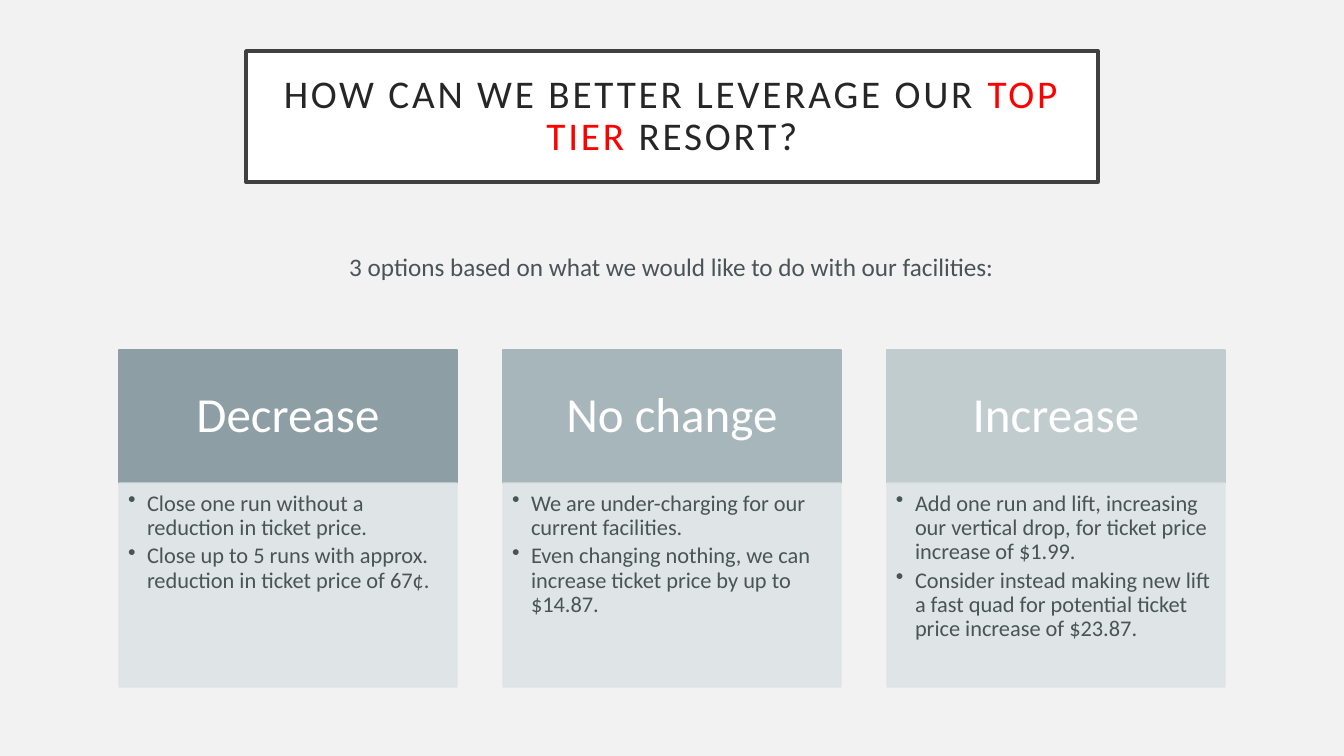
from pptx import Presentation
from pptx import util as u
from pptx.dml.color import RGBColor
from pptx.enum import shapes, text
from pptx.oxml.ns import qn
from lxml import etree

PX = 914400 / 100.8
FONT = "Calibri"
PAGE = RGBColor(0xF2, 0xF2, 0xF2)
WHITE = RGBColor(0xFF, 0xFF, 0xFF)
FRAME = RGBColor(0x40, 0x40, 0x40)
HEADING = RGBColor(0x26, 0x26, 0x26)
ACCENT = RGBColor(0xFF, 0x00, 0x00)
BODY = RGBColor(0x4A, 0x53, 0x56)
PANEL = RGBColor(0xDE, 0xE3, 0xE5)
DECREASE = RGBColor(0x8D, 0x9F, 0xA4)
NO_CHANGE = RGBColor(0xA7, 0xB6, 0xBA)
INCREASE = RGBColor(0xC1, 0xCC, 0xCF)

OPTIONS = [
    ("Decrease", DECREASE, [
        "Close one run without a reduction in ticket price.",
        "Close up to 5 runs with approx. reduction in ticket price of 67¢."]),
    ("No change", NO_CHANGE, [
        "We are under-charging for our current facilities.",
        "Even changing nothing, we can increase ticket price by up to $14.87."]),
    ("Increase", INCREASE, [
        "Add one run and lift, increasing our vertical drop, for ticket price increase of $1.99.",
        "Consider instead making new lift a fast quad for potential ticket price increase of $23.87."]),
]


def px(length):
    """Turn pixels into EMU."""
    return u.Emu(round(length * PX))


def apply(target, values):
    """Set every attribute named in a dict of format values."""
    for name, value in values.items():
        setattr(target, name, value)


def set_frame(shape, insets, anchor, wrap=True):
    """Set insets, anchor and wrapping, and return the text frame."""
    frame = shape.text_frame
    sides = ("margin_left", "margin_top", "margin_right", "margin_bottom")
    apply(frame, dict(zip(sides, map(px, insets)), vertical_anchor=anchor, word_wrap=wrap))
    return frame


def add_run(paragraph, words, size, color):
    """Add a run of words and return it."""
    run = paragraph.add_run()
    apply(run, {"text": words})
    apply(run.font, {"name": FONT, "size": u.Pt(size)})
    run.font.color.rgb = color
    return run


def add_block(slide, box, fill, line, weight, opacity=100):
    """Add a flat rectangle."""
    block = slide.shapes.add_shape(shapes.MSO_SHAPE.RECTANGLE, *map(px, box))
    block.shadow.inherit = False
    block.fill.solid()
    block.fill.fore_color.rgb = fill
    block.line.color.rgb = line
    block.line.width = u.Pt(weight)
    if opacity < 100:
        for color in block._element.spPr.iter(qn("a:srgbClr")):
            etree.SubElement(color, qn("a:alpha"), val=str(opacity * 1000))
    return block


def add_title(slide, box):
    """Draw the framed question with its accented words."""
    frame = set_frame(add_block(slide, box, WHITE, FRAME, 2.5), [20] * 4, text.MSO_ANCHOR.MIDDLE)
    question = frame.paragraphs[0]
    apply(question, {"alignment": text.PP_ALIGN.CENTER, "line_spacing": 0.9})
    for words, color in (("HOW CAN WE BETTER LEVERAGE OUR ", HEADING),
                         ("TOP TIER ", ACCENT), ("RESORT?", HEADING)):
        run = add_run(question, words, 28, color)
        run.font._element.set("spc", "200")


def add_intro(slide, box):
    """Write the line that introduces the options."""
    intro = slide.shapes.add_textbox(*map(px, box))
    frame = set_frame(intro, (10, 5, 10, 5), text.MSO_ANCHOR.TOP, wrap=False)
    line = frame.paragraphs[0]
    line.alignment = text.PP_ALIGN.CENTER
    add_run(line, "3 options based on what we would like to do with our facilities:", 18, BODY)


def add_option(slide, box, name, color, points):
    """Draw one option: a coloured header above a panel of bullets."""
    left, top, width, height = box
    header_height = 133
    header = add_block(slide, (left, top, width, header_height), color, color, 1)
    heading = set_frame(header, (27, 16, 27, 16), text.MSO_ANCHOR.MIDDLE).paragraphs[0]
    apply(heading, {"alignment": text.PP_ALIGN.CENTER, "line_spacing": 0.9})
    add_run(heading, name, 35, WHITE)

    panel_box = (left, top + header_height, width, height - header_height)
    panel = add_block(slide, panel_box, PANEL, PANEL, 1, opacity=90)
    frame = set_frame(panel, (9, 9, 12, 14), text.MSO_ANCHOR.TOP)
    for index, point in enumerate(points):
        bullet = frame.add_paragraph() if index else frame.paragraphs[0]
        apply(bullet, {"alignment": text.PP_ALIGN.LEFT, "line_spacing": 0.9,
                       "space_after": u.Pt(3)})
        properties = bullet._p.get_or_add_pPr()
        properties.set("marL", str(px(19)))
        properties.set("indent", str(px(-19)))
        etree.SubElement(properties, qn("a:buChar"), char="•")
        add_run(bullet, point, 16, BODY)


def add_options(slide, box):
    """Spread the options evenly across the box."""
    left, top, width, height = box
    option_width = 338
    pitch = (width - option_width) / (len(OPTIONS) - 1)
    for index, option in enumerate(OPTIONS):
        add_option(slide, (left + index * pitch, top, option_width, height), *option)


def main():
    """Build and save the slide."""
    deck = Presentation()
    apply(deck, {"slide_width": px(1344), "slide_height": px(756)})
    slide = deck.slides.add_slide(deck.slide_layouts[6])
    slide.background.fill.solid()
    slide.background.fill.fore_color.rgb = PAGE
    add_title(slide, (246, 51, 852, 131))
    add_options(slide, (119, 350, 1106, 337))
    add_intro(slide, (336, 246, 671, 40))
    deck.save("out.pptx")


main()
